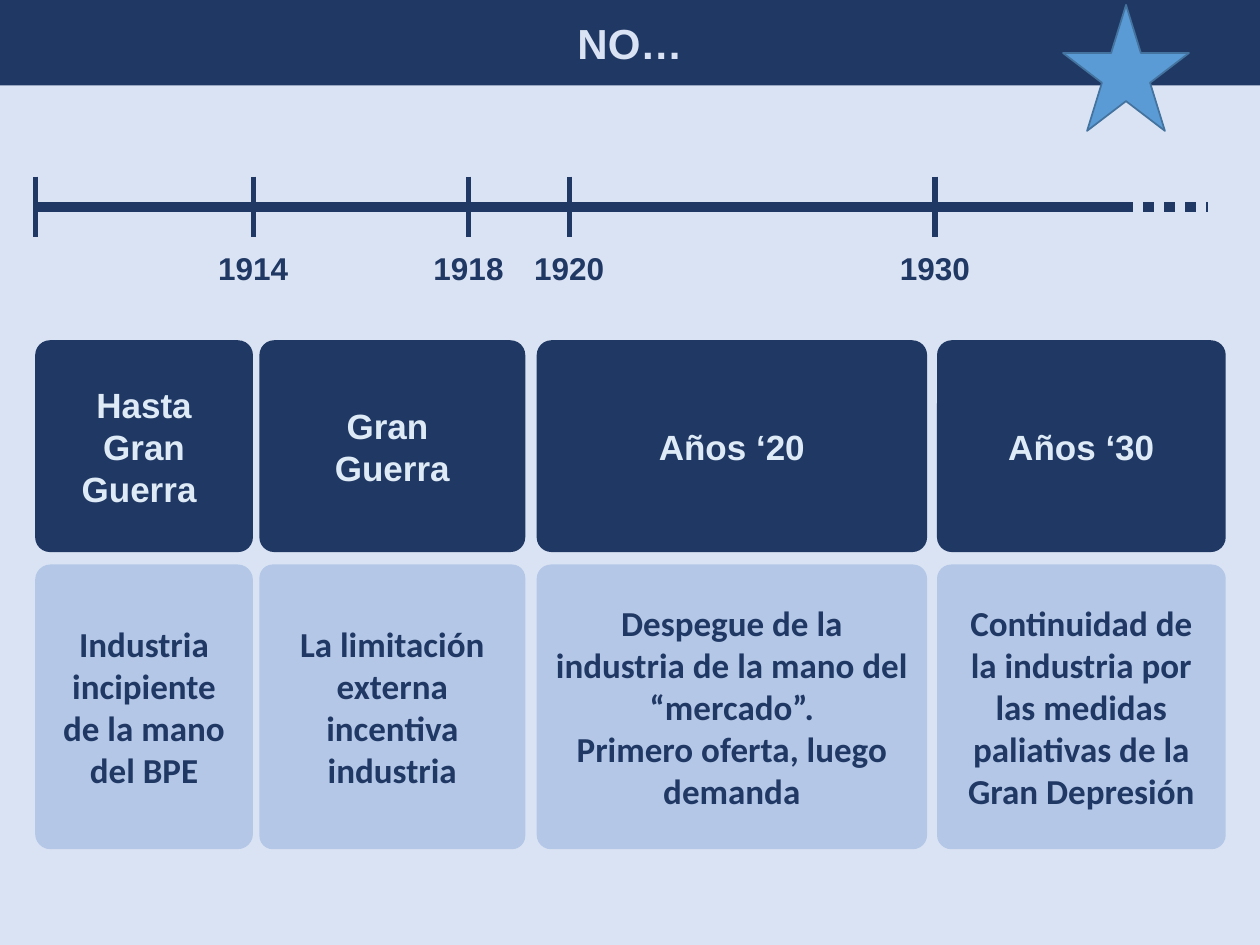
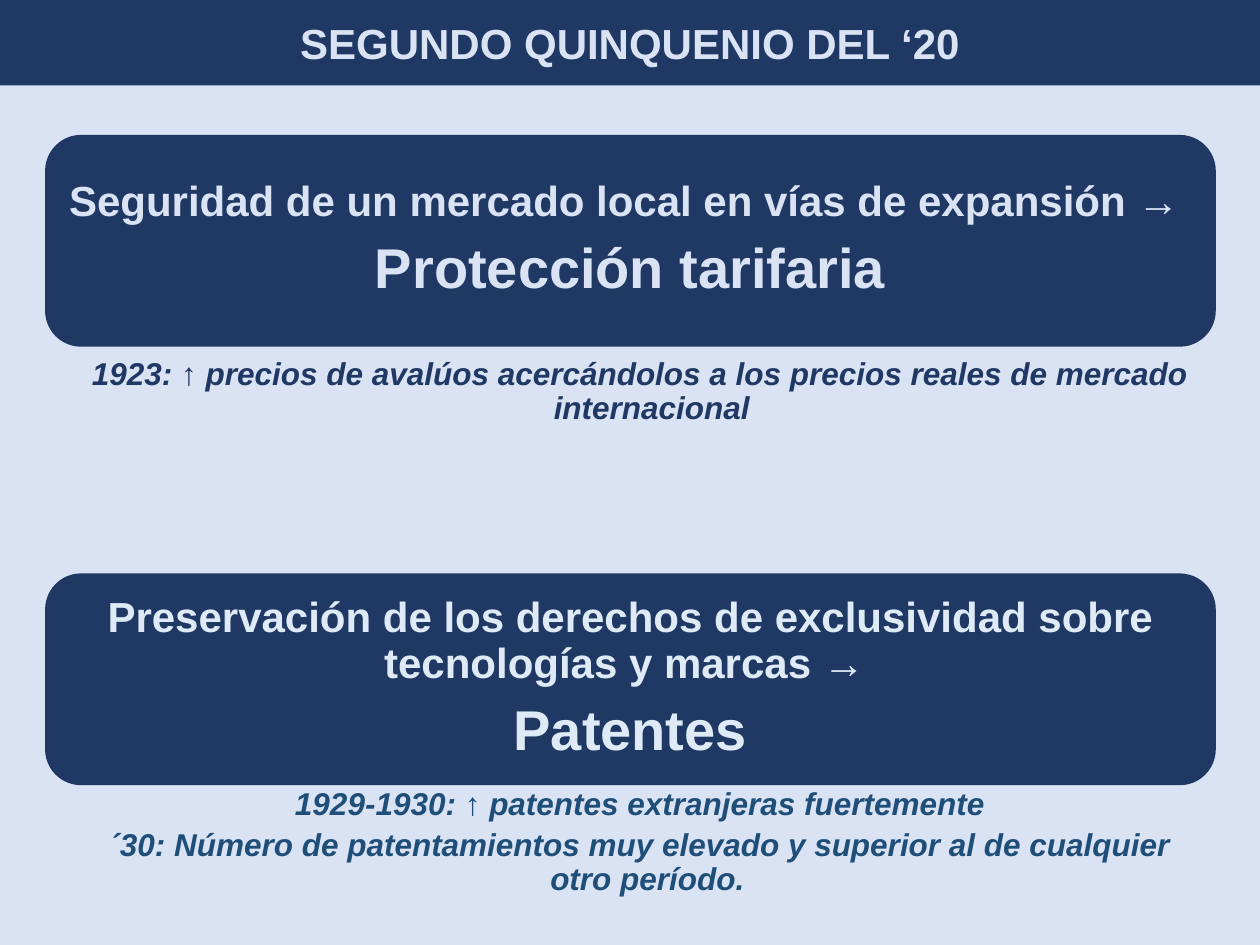
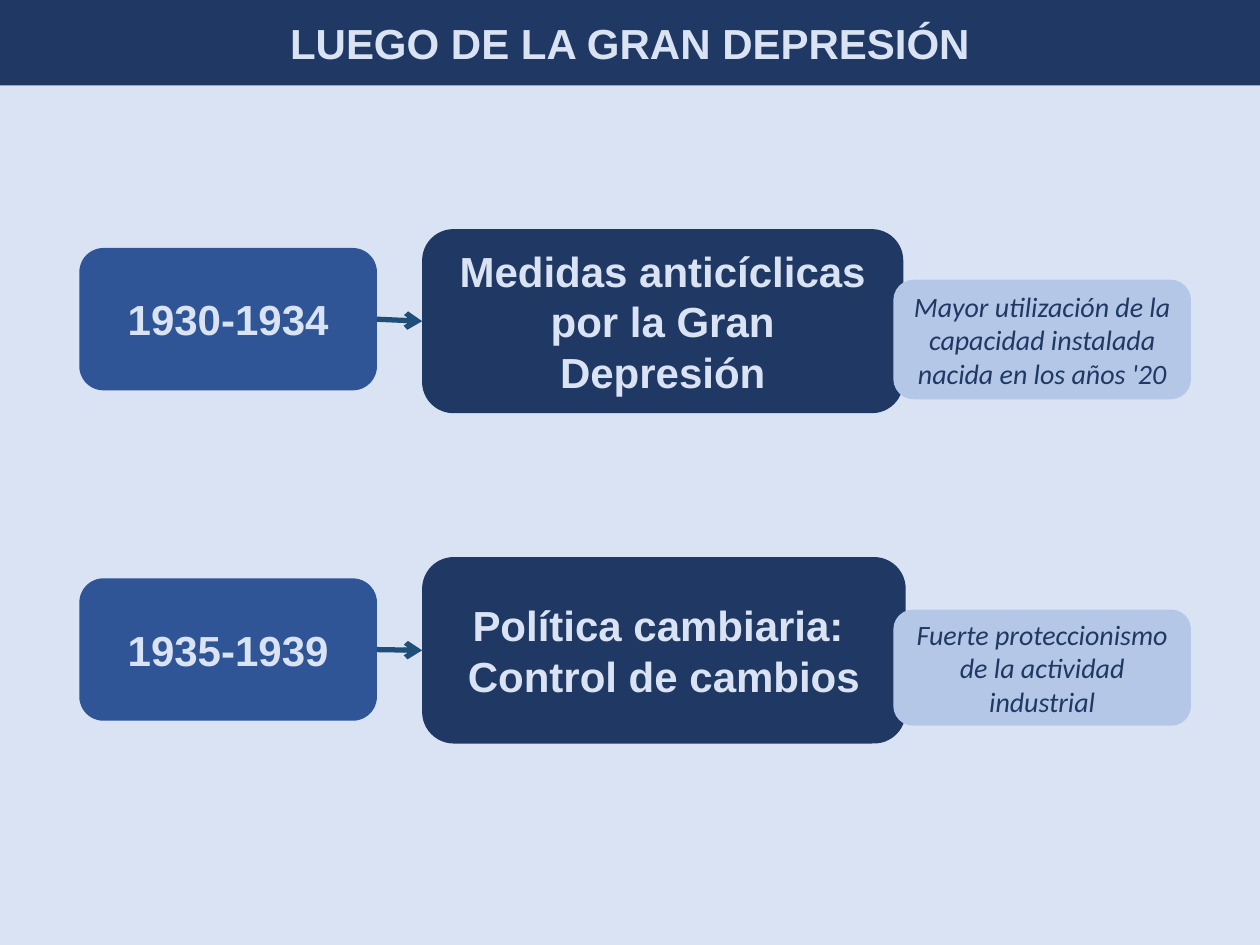
"""Three slides on industry from the Great War to the years after the Great Depression."""
from lxml.etree import SubElement
from pptx import Presentation
from pptx.dml.color import RGBColor
from pptx.enum.dml import MSO_LINE
from pptx.enum.shapes import MSO_CONNECTOR, MSO_SHAPE
from pptx.enum.text import MSO_ANCHOR, MSO_AUTO_SIZE, PP_ALIGN
from pptx.oxml.ns import qn
from pptx.util import Cm, Pt

HEX = {"navy": "203864", "pale": "DAE3F3", "ice": "DEEBF7", "light": "B4C7E7",
       "blue": "2F5597", "teal": "1F4E79", "star": "5B9BD5", "star_edge": "43739E"}
C = {name: RGBColor.from_string(value) for name, value in HEX.items()}


def write(tf, paras, size, color, font="Arial", bold=True, italic=False, spacing=1.0, after=0):
    tf.word_wrap = True
    for i, text in enumerate(paras):
        p = tf.paragraphs[0] if i == 0 else tf.add_paragraph()
        p.alignment = PP_ALIGN.CENTER
        p.line_spacing = spacing
        p.space_after = Pt(after)
        r = p.add_run()
        r.text = text
        r.font.name, r.font.size = font, Pt(size)
        r.font.bold, r.font.italic = bold, italic
        r.font.color.rgb = C[color]


def card(s, x, y, w, h, fill, adj=0.17):
    sp = s.shapes.add_shape(MSO_SHAPE.ROUNDED_RECTANGLE, Cm(x), Cm(y), Cm(w), Cm(h))
    sp.adjustments[0] = adj
    sp.shadow.inherit = False
    sp.fill.solid()
    sp.fill.fore_color.rgb = C[fill]
    sp.line.fill.background()
    sp.text_frame.vertical_anchor = MSO_ANCHOR.MIDDLE
    return sp


prs = Presentation()
prs.slide_width, prs.slide_height = Cm(25.4), Cm(19.05)
lines = []

for title in ["NO…", "SEGUNDO QUINQUENIO DEL ‘20", "LUEGO DE LA GRAN DEPRESIÓN"]:
    s = prs.slides.add_slide(prs.slide_layouts[5])
    s.background.fill.solid()
    s.background.fill.fore_color.rgb = C["pale"]
    sp = s.shapes.title
    sp.left, sp.top, sp.width, sp.height = Cm(0), Cm(0), prs.slide_width, Cm(1.72)
    sp.fill.solid()
    sp.fill.fore_color.rgb = C["navy"]
    sp.text_frame.auto_size = MSO_AUTO_SIZE.NONE
    sp.text_frame.vertical_anchor = MSO_ANCHOR.MIDDLE
    write(sp.text_frame, [title], 24, "pale")
timeline, policies, phases = prs.slides

s = timeline
axis = 4.17
for x1, x2 in [(0.71, 22.71), (21.77, 24.36)]:
    cn = s.shapes.add_connector(MSO_CONNECTOR.STRAIGHT, Cm(x1), Cm(axis), Cm(x2), Cm(axis))
    lines.append((cn, "navy", 6))
cn.line.dash_style = MSO_LINE.ROUND_DOT

for x, year in [(0.71, ""), (5.11, "1914"), (9.45, "1918"), (11.48, "1920"), (18.85, "1930")]:
    cn = s.shapes.add_connector(MSO_CONNECTOR.STRAIGHT, Cm(x), Cm(axis - 0.61),
                                Cm(x), Cm(axis + 0.61))
    lines.append((cn, "navy", 3))
    if year:
        tf = s.shapes.add_textbox(Cm(x - 0.97), Cm(4.9), Cm(1.93), Cm(1.02)).text_frame
        write(tf, [year], 18, "navy")
        tf.word_wrap = False

for x, w, period, effect, adj in [
    (0.71, 4.39, ["Hasta Gran Guerra "], ["Industria incipiente de la mano del BPE"], 0.07),
    (5.23, 5.36, ["Gran ", "Guerra"], ["La limitación externa incentiva industria"], 0.05),
    (10.82, 7.87, ["Años ‘20"], ["Despegue de la industria de la mano del “mercado”.",
                                 "Primero oferta, luego demanda"], 0.05),
    (18.89, 5.82, ["Años ‘30"], ["Continuidad de la industria por las medidas paliativas "
                                 "de la Gran Depresión"], 0.05),
]:
    write(card(s, x, 6.86, w, 4.27, "navy", 0.07).text_frame, period, 20, "ice")
    write(card(s, x, 11.38, w, 5.74, "light", adj).text_frame, effect, 20, "navy", "Calibri")

sp = s.shapes.add_shape(MSO_SHAPE.STAR_5_POINT, Cm(21.43), Cm(0.1), Cm(2.54), Cm(2.54))
sp.shadow.inherit = False
sp.fill.solid()
sp.fill.fore_color.rgb = C["star"]
sp.line.color.rgb = C["star_edge"]
sp.line.width = Pt(1)

s = policies
for y, reason, policy, color, notes, note_y, note_h, note_color in [
    (2.72, "Seguridad de un mercado local en vías de expansión → ", "Protección tarifaria", "pale",
     ["1923: ↑ precios de avalúos acercándolos a los precios reales de mercado internacional"],
     7.14, 2.95, "navy"),
    (11.56, "Preservación de los derechos de exclusividad sobre tecnologías y marcas → ",
     "Patentes", "ice",
     ["1929-1930: ↑ patentes extranjeras fuertemente",
      "´30: Número de patentamientos muy elevado y superior al de cualquier otro período. "],
     15.82, 1.93, "teal"),
]:
    tf = card(s, 0.91, y, 23.6, 4.27, "navy").text_frame
    tf.margin_top = tf.margin_bottom = Cm(0.25)
    write(tf, [reason, policy], 24, color, spacing=0.9, after=8.4)
    tf.paragraphs[1].runs[0].font.size = Pt(32)
    tf = s.shapes.add_textbox(Cm(0.91), Cm(note_y), Cm(23.6), Cm(note_h)).text_frame
    tf.margin_left, tf.margin_right = Cm(0.74), Cm(0.36)
    tf.margin_top = tf.margin_bottom = Cm(0.08)
    write(tf, notes, 18, note_color, italic=True, spacing=0.9, after=3.6)
    for p in tf.paragraphs:
        pPr = p._p.get_or_add_pPr()
        pPr.set("marL", str(Cm(0.48)))
        pPr.set("indent", str(-Cm(0.48)))

s = phases
for years, y, measure, my, mw, mh, result, ry, rh in [
    ("1930-1934", 5, ["Medidas anticíclicas por la Gran Depresión"], 4.62, 9.7, 3.71,
     "Mayor utilización de la capacidad instalada nacida en los años '20", 5.64, 2.41),
    ("1935-1939", 11.66, ["Política cambiaria: ", "Control de cambios"], 11.23, 9.75, 3.76,
     "Fuerte proteccionismo de la actividad industrial", 12.29, 2.34),
]:
    period = card(s, 1.6, y, 6, 2.87, "blue")
    write(period.text_frame, [years], 24, "pale")
    action = card(s, 8.51, my, mw, mh, "navy")
    write(action.text_frame, measure, 24, "pale")
    write(card(s, 18.01, ry, 6, rh, "light").text_frame, [result], 16, "navy", "Calibri",
          bold=False, italic=True)
    cn = s.shapes.add_connector(MSO_CONNECTOR.STRAIGHT, 0, 0, 0, 0)
    cn.begin_connect(period, 3)
    cn.end_connect(action, 1)
    SubElement(cn.line._get_or_add_ln(), qn("a:tailEnd"), type="arrow")
    lines.append((cn, "teal", 3))

for cn, color, width in lines:
    cn.line.color.rgb = C[color]
    cn.line.width = Pt(width)
    SubElement(cn._element.spPr, qn("a:effectLst"))

prs.save("out.pptx")
